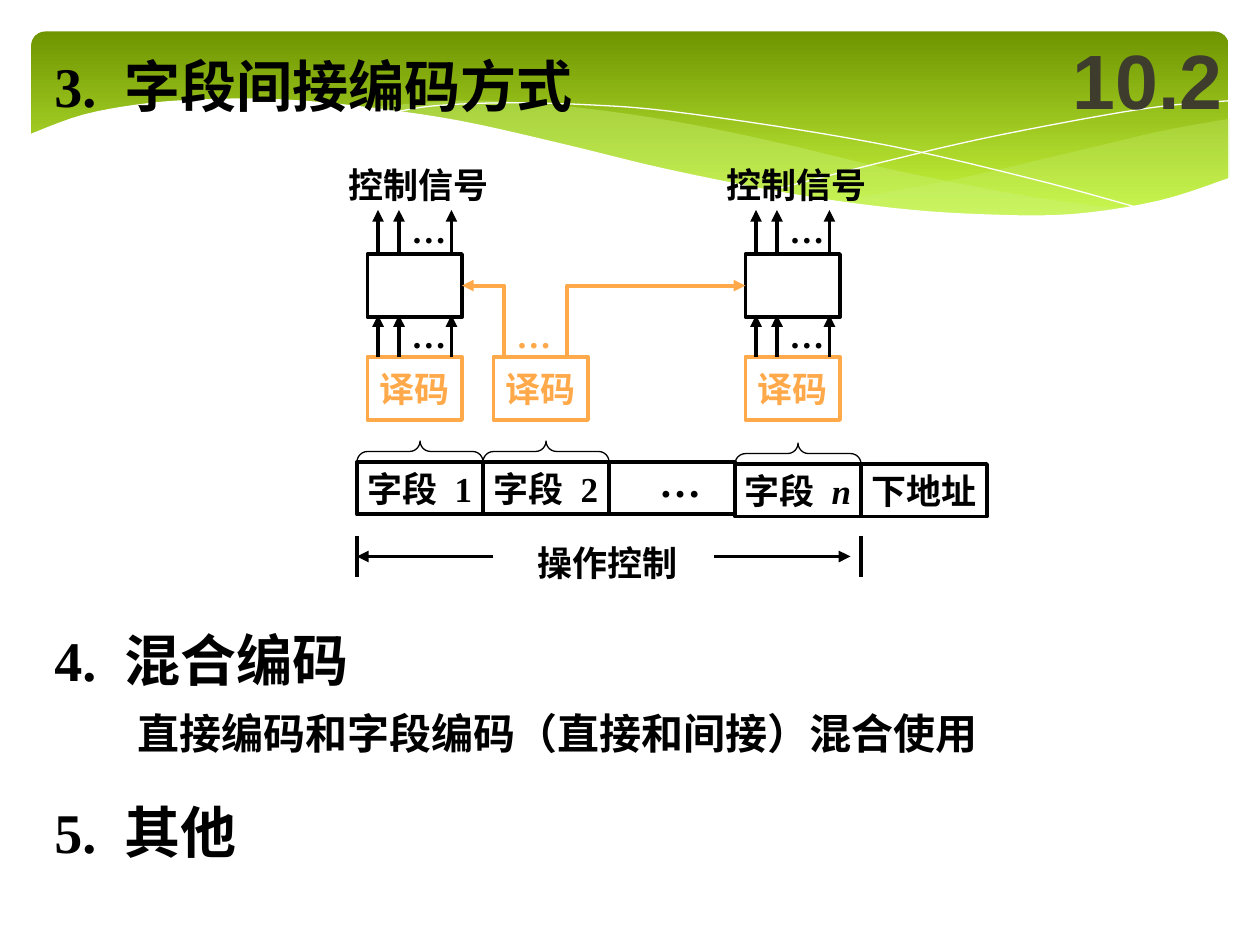
from lxml.etree import SubElement
from pptx import Presentation
from pptx.dml.color import RGBColor
from pptx.enum.shapes import MSO_CONNECTOR, MSO_SHAPE
from pptx.enum.text import MSO_ANCHOR, PP_ALIGN
from pptx.oxml.ns import qn
from pptx.util import Inches, Pt

BLACK = RGBColor(0, 0, 0)
WHITE = RGBColor(0xFF, 0xFF, 0xFF)
ORANGE = RGBColor(0xFF, 0xA9, 0x4A)
OLIVE = RGBColor(0x3E, 0x3D, 0x2D)
DARK_GREEN = RGBColor(0x6F, 0x95, 0x00)
LIME = RGBColor(0xD0, 0xFF, 0x44)
PALE_LIME = RGBColor(0xCA, 0xF2, 0x78)
SERIF, CJK, SANS = "Times New Roman", "DejaVu Sans", "Arial"

# The slide is a grid of 120 columns by 90 rows; all lengths are in cells.
COLS, ROWS = 120, 90
CELL = Inches(10) / COLS


def cells(*lengths):
    return [round(n * CELL) for n in lengths]


def smooth(points, steps=5):
    """Sample a Catmull-Rom curve through the points."""
    pts = [points[0], *points, points[-1]]
    curve = [points[0]]
    for a, b, c, d in zip(pts, pts[1:], pts[2:], pts[3:]):
        for t in (n / steps for n in range(1, steps + 1)):
            curve.append(tuple(
                0.5 * (2 * q + (r - p) * t + (2 * p - 5 * q + 4 * r - s) * t ** 2
                       + (3 * q - p - 3 * r + s) * t ** 3)
                for p, q, r, s in zip(a, b, c, d)))
    return curve


def style(sp, fill=None, line=None, width=2.25, opacity=None, arrow=False):
    sp.shadow.inherit = False
    if fill is None:
        sp.fill.background()
    else:
        sp.fill.solid()
        sp.fill.fore_color.rgb = fill
    if opacity:
        color = sp.fill._xPr.find(".//" + qn("a:srgbClr"))
        SubElement(color, qn("a:alpha"), val=str(opacity * 1000))
    style_line(sp, line, width, arrow)


def style_line(sp, color, width=2.25, arrow=False):
    if color is None:
        sp.line.fill.background()
        return
    sp.line.color.rgb = color
    sp.line.width = Pt(width)
    if arrow:
        SubElement(sp.line._get_or_add_ln(), qn("a:tailEnd"), type="triangle")


def add_outline(slide, x, y, points, close=True, **look):
    pts = [cells(x + px, y + py) for px, py in points]
    builder = slide.shapes.build_freeform(*pts[0], scale=1.0)
    builder.add_line_segments(pts[1:], close=close)
    style(builder.convert_to_shape(), **look)


def add_line(slide, x1, y1, x2, y2, arrow=True):
    c = slide.shapes.add_connector(MSO_CONNECTOR.STRAIGHT, *cells(x1, y1, x2, y2))
    style_line(c, BLACK, arrow=arrow)
    SubElement(c._element.spPr, qn("a:effectLst"))


def write(sp, parts, size=20, color=BLACK, wrap=False, align=PP_ALIGN.LEFT,
          anchor=MSO_ANCHOR.TOP):
    """Write (text, font, italic) parts; a lone space is set double width."""
    tf = sp.text_frame
    tf.word_wrap, tf.vertical_anchor = wrap, anchor
    p = tf.paragraphs[0]
    p.alignment = align
    for text, font, italic in parts:
        r = p.add_run()
        r.text = text
        look = {"name": font, "size": Pt(size), "bold": True, "italic": italic}
        for key, value in look.items():
            setattr(r.font, key, value)
        r.font.color.rgb = color
        if text == " ":
            r.font._element.set("spc", str(size * 25))


def plain(text, font=SERIF):
    return [(text, font, None)]


def add_text(slide, x, y, w, h, parts, **look):
    write(slide.shapes.add_textbox(*cells(x, y, w, h)), parts, **look)


def add_box(slide, x, y, w, h, parts=(), color=BLACK):
    sp = slide.shapes.add_shape(MSO_SHAPE.RECTANGLE, *cells(x, y, w, h))
    style(sp, line=color)
    write(sp, parts, color=color, align=PP_ALIGN.CENTER, anchor=MSO_ANCHOR.MIDDLE)


def add_banner(slide, x, y, w, h):
    sp = slide.shapes.add_shape(MSO_SHAPE.ROUNDED_RECTANGLE, *cells(x, y, w, h))
    sp.adjustments[0] = 0.07
    style(sp)
    sp.fill.gradient()
    sp.fill.gradient_angle = 270
    for stop, color in zip(sp.fill.gradient_stops, (DARK_GREEN, LIME)):
        stop.color.rgb = color

    right_band = smooth([(114.1, 8.3), (107.5, 9.5), (100.3, 11.2), (87.4, 14.2),
                         (76.3, 16.2)])
    right_band += smooth([(76.3, 16.2), (83.2, 17), (90.7, 17.6), (97.2, 17.6),
                          (103.7, 16.9), (109.2, 15.7), (114.1, 13.9)])
    middle_band = smooth([(104.2, 17), (93.8, 15.5), (81.7, 13.1), (72.5, 10.9),
                          (63.6, 9), (55.7, 7.7), (47.4, 6.8), (40.3, 6.6), (31.3, 7.3)])
    middle_band += smooth([(31.3, 7.3), (38, 8.3), (50.9, 10.9), (64.9, 14.2), (75, 16),
                           (83.6, 17.2), (91.2, 17.6), (97.6, 17.6), (104.2, 17)])
    falling = smooth([(34.1, 7.8), (38.2, 7.1), (45.1, 6.8), (53.3, 7), (60.8, 7.6),
                      (73.3, 9.4), (84.2, 11.4), (96.7, 14.4), (105.8, 16.9)])
    rising = smooth([(70.6, 15.1), (80.4, 12.6), (90.1, 10.3), (100.9, 8.2),
                     (107.9, 7.1), (114, 6.6)])
    cover = smooth([(114.2, 13.9), (107.4, 16.1), (99, 17.4), (90.4, 17.4), (82, 16.8),
                    (72.1, 15.4), (60.5, 13.1), (50.6, 10.7), (40.8, 8.5), (32, 7.2),
                    (24.6, 6.5), (18.1, 6.4), (11.3, 6.8), (5, 7.9), (-0.2, 9.8)])
    cover += [(-0.2, 23.9), (114.2, 23.9)]

    add_outline(slide, x, y, right_band, fill=PALE_LIME, opacity=29)
    add_outline(slide, x, y, middle_band, fill=PALE_LIME, opacity=40)
    for curve in (falling, rising):
        add_outline(slide, x, y, curve, close=False, line=WHITE, width=0)
    add_outline(slide, x, y, cover, fill=WHITE)


def add_signals(slide, x, y):
    """Three upward arrows, four rows high, with an ellipsis between them."""
    for dx in (1, 3, 8):
        add_line(slide, x + dx, y + 4, x + dx, y)
    add_text(slide, x + 3, y - 0.75, 5.75, 5.25, plain("…"))


def add_decoder(slide, x, y):
    add_box(slide, x, y, 9, 6, plain("译码"), ORANGE)


def add_decoder_stack(slide, x, y):
    add_text(slide, x - 3, y, 15.75, 5.25, plain("控制信号"))
    add_signals(slide, x, y + 5)
    add_box(slide, x, y + 9.2, 9, 6)
    add_decoder(slide, x, y + 19)
    add_signals(slide, x, y + 15)


def add_field(slide, x, y, parts=(), brace=False):
    add_box(slide, x, y, 12, 5, parts)
    if brace:
        sp = slide.shapes.add_shape(MSO_SHAPE.LEFT_BRACE, *cells(x + 5, y - 7, 2, 12))
        sp.rotation = 90
        sp.adjustments[0] = 0.5
        style(sp, line=BLACK, width=0.75)


def add_diagram(slide, x, y):
    for dx in (1, 37):
        add_decoder_stack(slide, x + dx, y)
    add_decoder(slide, x + 13, y + 19)
    add_text(slide, x + 14, y + 14.25, 5.75, 5.25, plain("…"), color=ORANGE)
    for start, end in ((14, 10), (20, 37)):
        route = [(start, 19), (start, 12.2), (end, 12.2)]
        add_outline(slide, x, y, route, close=False, line=ORANGE, arrow=True)

    fields = [("1", None, 29), ("2", None, 29), None, ("n", True, 29.2)]
    for i, field in enumerate(fields):
        if field is None:
            add_field(slide, x + 12 * i, y + 29)
            continue
        mark, italic, dy = field
        parts = plain("字段") + plain(" ") + [(mark, SERIF, italic)]
        add_field(slide, x + 12 * i, y + dy, parts, brace=True)
    add_field(slide, x + 48, y + 29.2, plain("下地址"))
    add_text(slide, x + 27.6, y + 27.75, 6.4, 6, plain("…"), size=24)

    for dx in (0, 48):
        add_line(slide, x + dx, y + 36, x + dx, y + 40, arrow=False)
    for start, end in ((13, 0), (34, 47)):
        add_line(slide, x + start, y + 38, x + end, y + 38)
    add_text(slide, x + 16, y + 36, 15.75, 5.25, plain("操作控制"))


def add_heading(slide, x, y, w, number, title):
    parts = plain(number) + plain(" ") + plain(title, CJK)
    add_text(slide, x, y, w, 7.7, parts, size=32, wrap=True)


def main():
    prs = Presentation()
    prs.slide_width, prs.slide_height = cells(COLS, ROWS)
    slide = prs.slides.add_slide(prs.slide_layouts[6])
    add_banner(slide, 3, 3, 114, 18.7)
    add_heading(slide, 4, 4.3, 103, "3.", "字段间接编码方式")
    add_heading(slide, 4, 59, 88, "4.", "混合编码")
    add_text(slide, 11.9, 66.8, 100, 6, size=24, wrap=True,
             parts=plain("直接编码和字段编码（直接和间接）混合使用", CJK))
    add_heading(slide, 4, 75.4, 73, "5.", "其他")
    add_diagram(slide, 34, 15)
    add_text(slide, 101, 2, 19, 11, plain("10.2", SANS), size=44, color=OLIVE,
             wrap=True, anchor=MSO_ANCHOR.MIDDLE)
    prs.save("out.pptx")


if __name__ == "__main__":
    main()
